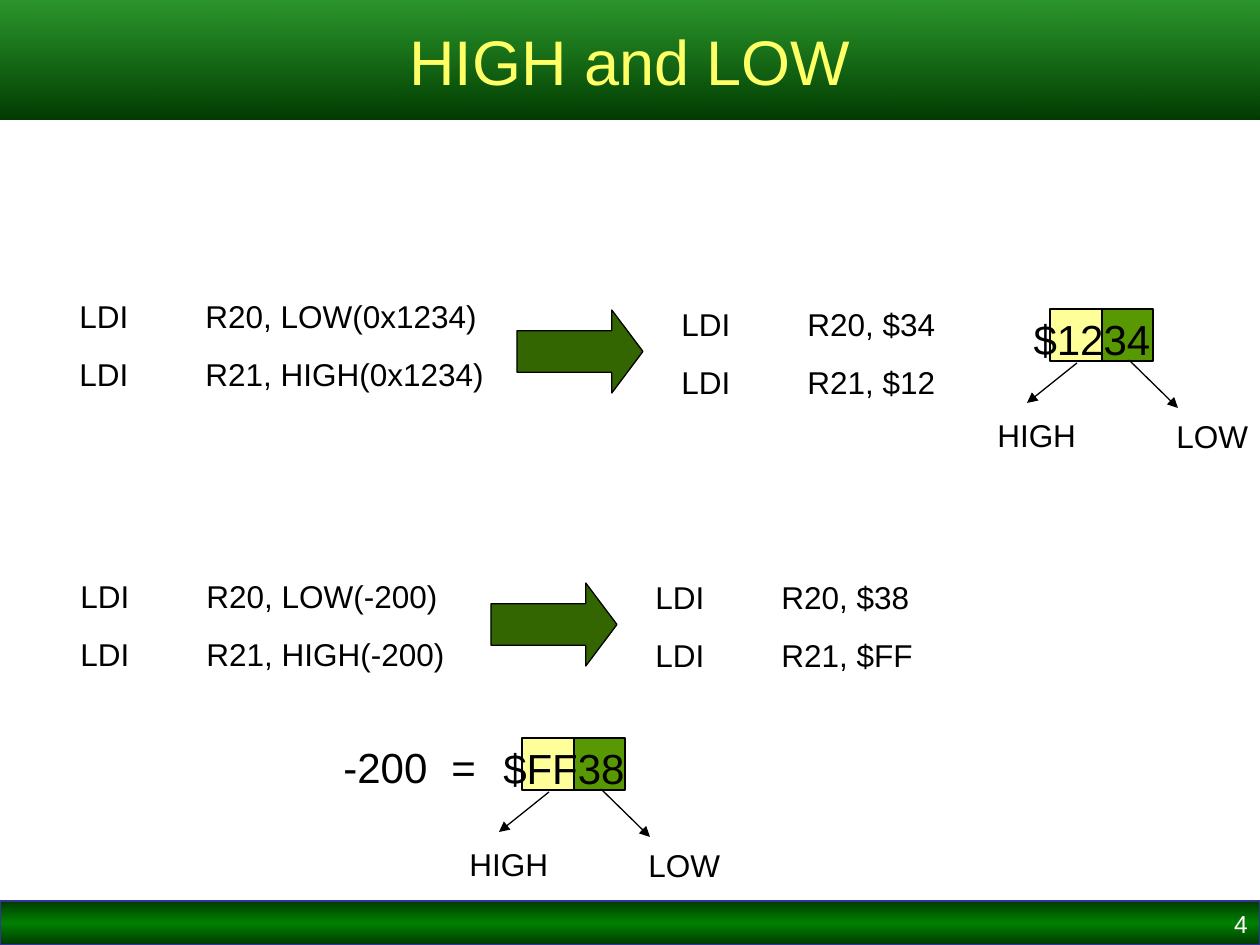
from lxml import etree
from pptx import Presentation
from pptx.dml.color import RGBColor
from pptx.enum.shapes import MSO_CONNECTOR, MSO_SHAPE
from pptx.enum.text import MSO_ANCHOR, MSO_AUTO_SIZE, PP_ALIGN
from pptx.oxml.ns import qn
from pptx.util import Emu, Pt

RECTANGLE = MSO_SHAPE.RECTANGLE
RIGHT_ARROW = MSO_SHAPE.RIGHT_ARROW
STRAIGHT = MSO_CONNECTOR.STRAIGHT
MIDDLE = MSO_ANCHOR.MIDDLE
GROW = MSO_AUTO_SIZE.SHAPE_TO_FIT_TEXT
LEFT, CENTER, RIGHT = PP_ALIGN.LEFT, PP_ALIGN.CENTER, PP_ALIGN.RIGHT

PX = 914400 / 126
TAB = 126
COLORS = {
    "black": "000000",
    "white": "FFFFFF",
    "title": "FFFF66",
    "green": "008000",
    "dark": "003B00",
    "border": "333399",
    "arrow": "336600",
    "high": "FFFF99",
    "low": "589802",
}


def add_shape(kind, left, top, width, height, line, fill=None, stops=()):
    shape = slide.shapes.add_shape(kind, *[Emu(round(v * PX)) for v in (left, top, width, height)])
    shape.shadow.inherit = False
    if line:
        shape.line.color.rgb = RGBColor.from_string(COLORS[line])
        shape.line.width = Pt(0.75)
    else:
        shape.line.fill.background()
    if fill:
        shape.fill.solid()
        shape.fill.fore_color.rgb = RGBColor.from_string(COLORS[fill])
    else:
        shape.fill.gradient()
        shape.fill.gradient_angle = 270
        stop_list = next(shape.element.spPr.iter(qn("a:gsLst")))
        for old in list(stop_list):
            stop_list.remove(old)
        for position, color, opacity in stops:
            stop = etree.SubElement(stop_list, qn("a:gs"), pos=str(position * 1000))
            value = etree.SubElement(stop, qn("a:srgbClr"), val=COLORS[color])
            if opacity < 100:
                etree.SubElement(value, qn("a:alpha"), val=str(opacity * 1000))
    return shape


def add_text(lines, left, top, width, height, size=18, align=LEFT, color="black", tab=TAB, box=None):
    if box is None:
        box = slide.shapes.add_textbox(*[Emu(round(v * PX)) for v in (left, top, width, height)])
        box.text_frame.auto_size = GROW
    frame = box.text_frame
    frame.word_wrap = True
    for index, line in enumerate(lines):
        para = frame.paragraphs[0] if index == 0 else frame.add_paragraph()
        para.text = line
        para.alignment = align
        if index:
            para.space_before = Pt(11.4)
        if "\t" in line:
            tabs = etree.SubElement(para._p.get_or_add_pPr(), qn("a:tabLst"))
            etree.SubElement(tabs, qn("a:tab"), pos=str(round(tab * PX)), algn="l")
        para.font.name = "Arial"
        para.font.size = Pt(size)
        para.font.color.rgb = RGBColor.from_string(COLORS[color])
    return box


deck = Presentation()
deck.slide_width = Emu(round(1260 * PX))
deck.slide_height = Emu(round(945 * PX))
slide = deck.slides.add_slide(deck.slide_layouts[6])

add_shape(RECTANGLE, 0, 901, 1260, 44, "border",
          stops=[(0, "dark", 100), (50, "green", 100), (100, "dark", 100)])
add_text(["4"], 966, 903, 294, 42, size=14, align=RIGHT, color="white")

title_bar = add_shape(RECTANGLE, 0, 0, 1260, 120, None,
                      stops=[(0, "green", 83), (100, "dark", 100)])
title_bar.text_frame.vertical_anchor = MIDDLE
add_text(["HIGH and LOW"], 0, 0, 1260, 120, size=36, align=CENTER, color="title", box=title_bar)

examples = [
    ("0x1234", "$34", "$12", (67, 291), (517, 310)),
    ("-200", "$38", "$FF", (68, 571), (491, 583)),
]
for value, low, high, (left, top), (arrow_left, arrow_top) in examples:
    add_text([f"LDI\tR20, LOW({value})", f"LDI\tR21, HIGH({value})"], left, top, 462, 108)
    arrow = add_shape(RIGHT_ARROW, arrow_left, arrow_top, 126, 83, "black", fill="arrow")
    arrow.adjustments[0] = 0.5
    arrow.adjustments[1] = 0.375
    add_text([f"LDI\tR20, {low}", f"LDI\tR21, {high}"], arrow_left + 152, arrow_top - 11, 334, 108)

for number, left, top in [("$1234", 1050, 309), ("$FF38", 522, 738)]:
    add_shape(RECTANGLE, left + 51, top, 52, 52, "black", fill="low")
    add_shape(RECTANGLE, left, top, 52, 52, "black", fill="high")
    add_text([number], left - 47, top - 2, 178, 63, size=24, align=CENTER)
    for x1, y1, x2, y2 in [(79, 51, 128, 99), (27, 54, -23, 94)]:
        ends = (left + x1, top + y1, left + x2, top + y2)
        pointer = slide.shapes.add_connector(STRAIGHT, *[Emu(round(v * PX)) for v in ends])
        pointer.line.color.rgb = RGBColor.from_string(COLORS["black"])
        pointer.line.width = Pt(0.75)
        etree.SubElement(pointer.line._get_or_add_ln(), qn("a:tailEnd"), type="triangle")
        etree.SubElement(pointer.element.spPr, qn("a:effectLst"))
    add_text(["LOW"], left + 114, top + 102, 121, 50)
    add_text(["HIGH"], left - 65, top + 101, 127, 50)

add_text(["-200\t="], 331, 735, 188, 63, size=24, tab=108)

deck.save("out.pptx")
